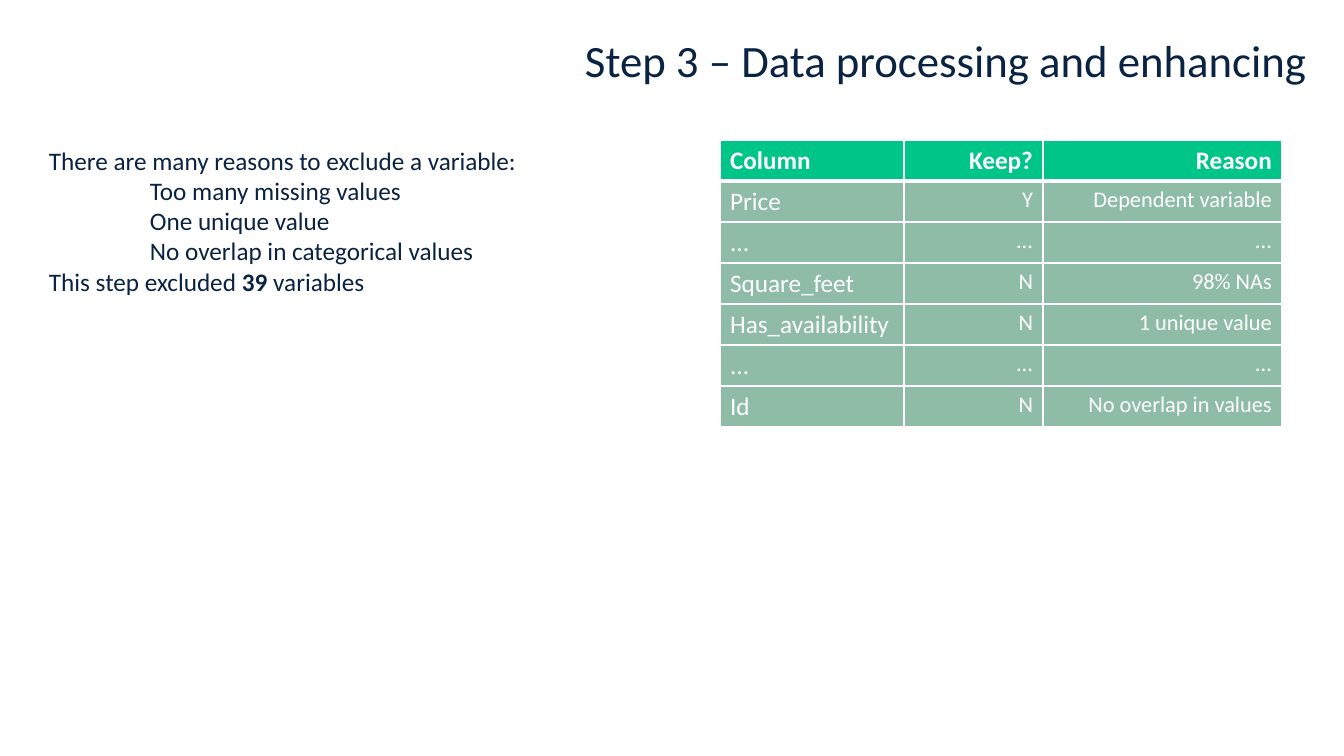
from dataclasses import dataclass

from lxml.etree import SubElement
from pptx import Presentation
from pptx.dml.color import RGBColor
from pptx.enum.text import MSO_AUTO_SIZE, PP_ALIGN
from pptx.oxml.ns import qn
from pptx.util import Emu, Pt

EMU_PER_PX = 914400 / 100.8
FONT = "Calibri"
NAVY, WHITE, GREEN, SAGE = "0A2342", "FFFFFF", "00C588", "8EBCA6"
REASON_INDENT = 101


@dataclass(frozen=True)
class Span:
    text: str
    bold: bool = False


@dataclass(frozen=True)
class Line:
    spans: tuple[Span, ...]
    size: int = 18
    color: str = NAVY
    align: PP_ALIGN = PP_ALIGN.LEFT
    indent: int = 0


@dataclass(frozen=True)
class Box:
    left: int
    top: int
    width: int
    height: int
    lines: tuple[Line, ...]


def px(length: int) -> Emu:
    return Emu(round(length * EMU_PER_PX))


def rgb(color: str) -> RGBColor:
    return RGBColor.from_string(color)


def write_lines(frame, lines: tuple[Line, ...]) -> None:
    for index, line in enumerate(lines):
        paragraph = frame.add_paragraph() if index else frame.paragraphs[0]
        paragraph.alignment = line.align
        if line.indent:
            paragraph._p.get_or_add_pPr().set("marL", str(px(line.indent)))
        for span in line.spans:
            run = paragraph.add_run()
            run.text = span.text
            run.font.name = FONT
            run.font.size = Pt(line.size)
            run.font.bold = span.bold
            run.font.color.rgb = rgb(line.color)


def draw_box(slide, box: Box) -> None:
    frame = slide.shapes.add_textbox(
        px(box.left), px(box.top), px(box.width), px(box.height)).text_frame
    frame.word_wrap = True
    frame.auto_size = MSO_AUTO_SIZE.SHAPE_TO_FIT_TEXT
    write_lines(frame, box.lines)


def add_border(cell, side: str, points: int) -> None:
    border = SubElement(cell._tc.get_or_add_tcPr(), qn(f"a:{side}"), w=str(Pt(points)))
    SubElement(SubElement(border, qn("a:solidFill")), qn("a:srgbClr"), val=WHITE)


def draw_cell(cell, text: str, row: int, column: int) -> None:
    header = row == 0
    widths = {"lnL": 1, "lnR": 1, "lnT": 3 if row == 1 else 1, "lnB": 3 if header else 1}
    for side, points in widths.items():
        add_border(cell, side, points)
    cell.fill.solid()
    cell.fill.fore_color.rgb = rgb(GREEN if header else SAGE)
    size = 18 if header or column == 0 else 16
    align = PP_ALIGN.RIGHT if column else PP_ALIGN.LEFT
    write_lines(cell.text_frame, (Line((Span(text, header),), size, WHITE, align),))


def draw_table(slide, left: int, top: int, column_widths: tuple[int, ...],
               row_height: int, rows: tuple[tuple[str, ...], ...]) -> None:
    table = slide.shapes.add_table(
        len(rows), len(column_widths), px(left), px(top),
        px(sum(column_widths)), px(row_height * len(rows))).table
    for column, width in zip(table.columns, column_widths):
        column.width = px(width)
    for row, texts in enumerate(rows):
        table.rows[row].height = px(row_height)
        for column, text in enumerate(texts):
            draw_cell(table.cell(row, column), text, row, column)


REASONS = ("Too many missing values", "One unique value", "No overlap in categorical values")
EXPLANATION = Box(39, 140, 1226, 163, (
    Line((Span("There are many reasons to exclude a variable:"),)),
    *(Line((Span(reason),), indent=REASON_INDENT) for reason in REASONS),
    Line((Span("This step excluded "), Span("39", True), Span(" variables"))),
))
TITLE = Box(236, 28, 1081, 65, (
    Line((Span("Step 3 – Data processing and enhancing"),), 32, align=PP_ALIGN.RIGHT),
))
VARIABLES = (
    ("Column", "Keep?", "Reason"),
    ("Price", "Y", "Dependent variable"),
    ("...", "...", "..."),
    ("Square_feet", "N", "98% NAs"),
    ("Has_availability", "N", "1 unique value"),
    ("...", "...", "..."),
    ("Id", "N", "No overlap in values"),
)


def main() -> None:
    presentation = Presentation()
    presentation.slide_width, presentation.slide_height = px(1344), px(756)
    slide = presentation.slides.add_slide(presentation.slide_layouts[6])

    # Explanation and title
    for box in (EXPLANATION, TITLE):
        draw_box(slide, box)

    # Kept and excluded variables
    draw_table(slide, 720, 140, (184, 139, 239), 41, VARIABLES)

    presentation.save("out.pptx")


if __name__ == "__main__":
    main()
